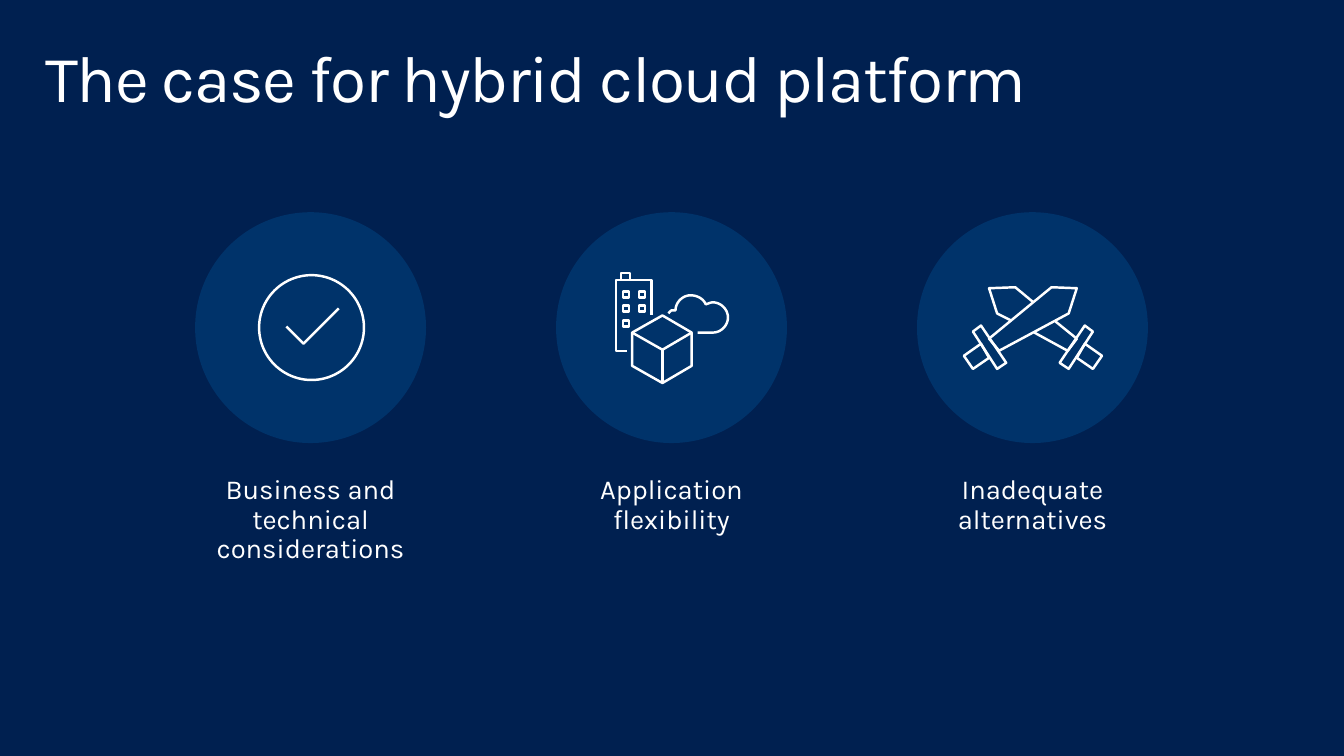
from lxml import etree
from pptx import Presentation
from pptx import util as u
from pptx.dml.color import RGBColor
from pptx.enum import shapes, text
from pptx.oxml.ns import qn

COLORS = {"back": "002050", "disc": "00336A", "ink": "FFFFFF"}
FONT = "Karla"
CELL = u.Inches(0.01)  # grid of 1333 columns by 750 rows
FIRST, PITCH, ROW, DISC = 308, 358, 325, 229
LABELS = [("Business and technical considerations", 279),
          ("Application flexibility", 234), ("Inadequate alternatives", 234)]


def rgb(name):
    return RGBColor.from_string(COLORS[name])


def write(frame, words, size, align=None, inset=(0, 0), anchor="TOP", track=0):
    """Fill a text frame with one formatted paragraph."""
    frame.word_wrap = True
    frame.auto_size = text.MSO_AUTO_SIZE.NONE
    frame.vertical_anchor = text.MSO_ANCHOR[anchor]
    frame.margin_left = frame.margin_right = inset[0] * CELL
    frame.margin_top = frame.margin_bottom = inset[1] * CELL
    par = frame.paragraphs[0]
    par.line_spacing = 0.9
    par.alignment = align
    run = par.add_run()
    run.text = words
    run.font.name, run.font.size = FONT, u.Pt(size)
    run.font.bold = False
    run.font.color.rgb = rgb("ink")
    if track:
        run.font._element.set("spc", str(track))


def curve(start, parts, steps=12):
    """Points along a chain of cubic Bezier curves."""
    points = [start]
    for b, c, d in parts:
        a = points[-1]
        for step in range(1, steps + 1):
            t = step / steps
            s = 1 - t
            points.append(tuple(
                s**3 * a[i] + 3 * s * s * t * b[i] + 3 * s * t * t * c[i] + t**3 * d[i]
                for i in (0, 1)))
    return points


class Board:
    """Draws on one slide; icon points are grid cells from the icon's centre."""

    def __init__(self, deck):
        self.slide = deck.slides.add_slide(deck.slide_layouts[5])
        self.items = self.slide.shapes
        self.mid = 0
        fill = self.slide.background.fill
        fill.solid()
        fill.fore_color.rgb = rgb("back")

    def title(self, words):
        box = self.items.title
        box.left, box.top, box.width, box.height = (n * CELL for n in (29, 32, 1275, 98))
        write(box.text_frame, words, 47, text.PP_ALIGN.LEFT, (16, 10), "MIDDLE", -100)

    def label(self, words, wide):
        box = self.items.add_textbox(
            int((self.mid - wide / 2) * CELL), 472 * CELL, wide * CELL, 71 * CELL)
        write(box.text_frame, words, 19.6, text.PP_ALIGN.CENTER)

    def place(self, x, y):
        return round((self.mid + x) * CELL), round((ROW + y) * CELL)

    def ink(self, shape):
        shape.shadow.inherit = False
        shape.fill.background()
        shape.line.color.rgb = rgb("ink")
        shape.line.width = u.Pt(1.75)

    def shape(self, kind, x, y, wide, high):
        item = self.items.add_shape(
            shapes.MSO_SHAPE[kind], *self.place(x, y), round(wide * CELL), round(high * CELL))
        self.ink(item)
        return item

    def disc(self):
        item = self.shape("OVAL", -DISC / 2, -DISC / 2, DISC, DISC)
        item.fill.solid()
        item.fill.fore_color.rgb = rgb("disc")
        item.line.fill.background()

    def trace(self, points, close=False):
        spots = [self.place(*point) for point in points]
        pen = self.items.build_freeform(*spots[0])
        pen.add_line_segments(spots[1:], close=close)
        self.ink(pen.convert_to_shape())

    def line(self, start, end):
        item = self.items.add_connector(
            shapes.MSO_CONNECTOR.STRAIGHT, *self.place(*start), *self.place(*end))
        item.line.color.rgb = rgb("ink")
        item.line.width = u.Pt(1.75)
        etree.SubElement(item._element.spPr, qn("a:effectLst"))


def check(board):
    board.shape("OVAL", -51, -52, 104, 104)
    board.trace([(-24, -1), (-7, 16), (28, -19)])


def cloud(board):
    """Office block, cloud and cube."""
    board.trace([(-44, 23), (-55, 23), (-55, -47), (-20, -47), (-20, -12)])
    for x, y in [(-48, -36), (-32, -36), (-48, -22), (-32, -22), (-48, -7)]:
        board.shape("RECTANGLE", x, y, 6, 6)
    board.shape("RECTANGLE", -50, -54, 9, 7)
    board.trace([(-39, 5), (-9, -12), (20, 5), (20, 38), (-9, 55), (-39, 38)], True)
    board.trace([(20, 5), (-9, 22), (-39, 5)])
    board.line((-9, 20), (-9, 55))
    puffs = [((0, -18), (0, -17), (4, -17)), ((4, -25), (11, -32), (19, -32)),
             ((26, -32), (32, -28), (34, -23)), ((37, -24), (39, -25), (41, -25)),
             ((49, -25), (56, -18), (56, -10)), ((56, -2), (49, 5), (41, 5))]
    board.trace(curve((-3, -14), puffs) + [(26, 5)])


def swords(board):
    board.trace([(-43, 11), (-33, 23), (36, -14), (44, -39), (19, -40)], True)
    board.trace([(23, -6), (44, 11), (35, 23), (2, 5)])
    board.trace([(-21, -7), (-35, -14), (-43, -39), (-17, -40), (1, -25)])
    guard = [(-59, 4), (-35, 41), (-26, 35), (-51, -2)]
    grip = [(-68, 28), (-59, 41), (-43, 30), (-51, 16)]
    for part in (guard, grip):
        board.trace(part, True)
        board.trace([(1 - x, y) for x, y in part], True)


def main():
    deck = Presentation()
    deck.slide_width, deck.slide_height = u.Inches(13.33), u.Inches(7.5)
    board = Board(deck)
    board.title("The case for hybrid cloud platform")
    for col, ((words, wide), icon) in enumerate(zip(LABELS, (check, cloud, swords))):
        board.mid = FIRST + col * PITCH
        board.disc()
        icon(board)
        board.label(words, wide)
    deck.save("out.pptx")


if __name__ == "__main__":
    main()
